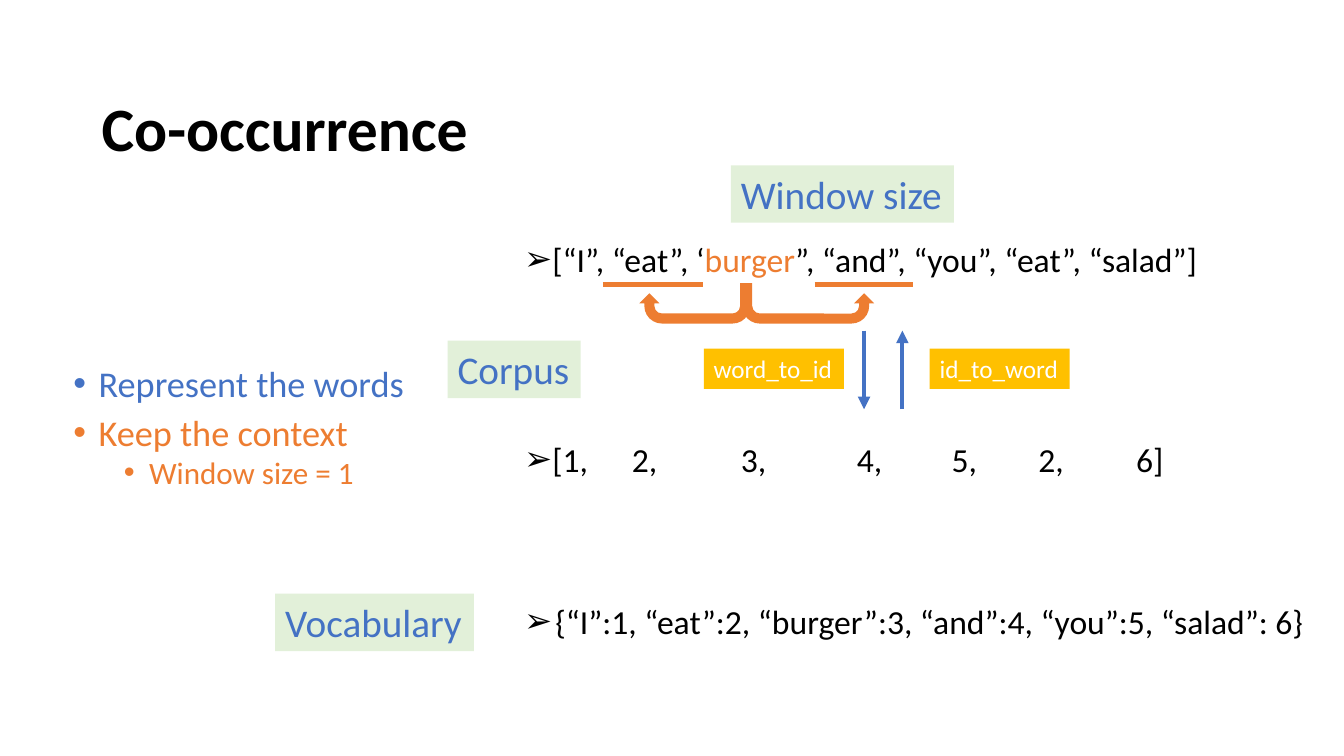
from dataclasses import dataclass
from typing import Any, Optional

import pptx
import pptx.dml.color
import pptx.enum.shapes
import pptx.enum.text
import pptx.oxml
import pptx.oxml.ns
import pptx.util

Inches = pptx.util.Inches
Pt = pptx.util.Pt
RGBColor = pptx.dml.color.RGBColor
MSO_SHAPE = pptx.enum.shapes.MSO_SHAPE
MSO_ANCHOR = pptx.enum.text.MSO_ANCHOR
qn = pptx.oxml.ns.qn

BLACK = RGBColor(0x00, 0x00, 0x00)
WHITE = RGBColor(0xFF, 0xFF, 0xFF)
BLUE = RGBColor(0x44, 0x72, 0xC4)
ORANGE = RGBColor(0xED, 0x7D, 0x31)
GOLD = RGBColor(0xFF, 0xC0, 0x00)
MINT = RGBColor(0xE2, 0xF0, 0xD9)
FONT = "Calibri"


@dataclass
class Label:
    text: str
    box: tuple[float, float, float, float]
    fill: RGBColor
    color: RGBColor
    size: float


@dataclass
class Line:
    start: tuple[float, float]
    end: tuple[float, float]
    color: RGBColor
    width: float
    arrow: bool = False


@dataclass
class Para:
    runs: list[tuple[str, RGBColor]]
    size: float
    bullet: str = ""
    margin: float = 0
    hanging: float = 0
    before: float = 0
    spacing: Optional[float] = None
    bold: bool = False
    tabs: tuple[float, ...] = ()


LABELS = [
    Label("word_to_id", (6.98, 3.46, 1.39, 0.4), GOLD, WHITE, 18),
    Label("id_to_word", (9.22, 3.46, 1.39, 0.4), GOLD, WHITE, 18),
    Label("Corpus", (4.44, 3.38, 1.32, 0.57), MINT, BLUE, 28),
    Label("Vocabulary", (2.73, 5.89, 1.97, 0.57), MINT, BLUE, 28),
    Label("Window size", (7.25, 1.64, 2.21, 0.57), MINT, BLUE, 28),
]
LINES = [
    Line((8.57, 3.28), (8.57, 4.06), BLUE, 3, True),
    Line((8.95, 4.06), (8.95, 3.28), BLUE, 3, True),
    Line((8.08, 2.82), (9.06, 2.82), ORANGE, 3.5),
    Line((5.98, 2.82), (6.97, 2.82), ORANGE, 3.5),
]
TITLE = [Para([("Co-occurrence", BLACK)], 44, spacing=0.9, bold=True)]
GOALS = [
    Para([("Represent the words", BLUE)], 25.9, "•", 0.25, 0.25, 0, 0.8),
    Para([("Keep the context", ORANGE)], 25.9, "•", 0.25, 0.25, 10, 0.8),
    Para([("Window size = 1", ORANGE)], 22.2, "•", 0.75, 0.25, 5, 0.8),
]
EXAMPLE = [
    Para([("[“I”, “eat”, ‘", BLACK), ("burger", ORANGE),
          ("”, “and”, “you”, “eat”, “salad”]", BLACK)], 24, "➢"),
    Para([("[1,\t2,\t3,\t4,\t5,\t2,\t6]", BLACK)], 24, "➢", before=114,
         tabs=(1.07, 2.15, 3.3, 4.24, 5.1, 6.07)),
    Para([("{“I”:1, “eat”:2, “burger”:3, “and”:4, “you”:5, “salad”: 6}", BLACK)],
         24, "➢", 0.31, 0.31, before=87),
]


def apply(obj: Any, values: dict[str, Any]) -> None:
    for name, value in values.items():
        setattr(obj, name, value)


def add_child(parent: Any, tag: str, **attrs: str) -> Any:
    child = pptx.oxml.parse_xml(
        f'<{tag} xmlns:a="http://schemas.openxmlformats.org/drawingml/2006/main"/>')
    for name, value in attrs.items():
        child.set(name, value)
    parent.append(child)
    return child


def fill_para(p: Any, para: Para) -> None:
    pPr = p._p.get_or_add_pPr()
    pPr.set("marL", str(Inches(para.margin)))
    pPr.set("indent", str(-Inches(para.hanging)))
    if para.bullet:
        add_child(pPr, "a:buFont", typeface="Arial")
        add_child(pPr, "a:buChar", char=para.bullet)
    if para.tabs:
        tab_list = add_child(pPr, "a:tabLst")
        for pos in para.tabs:
            add_child(tab_list, "a:tab", pos=str(Inches(pos)), algn="l")
    apply(p, {"space_before": Pt(para.before), "line_spacing": para.spacing,
              "alignment": pptx.enum.text.PP_ALIGN.LEFT})
    for text, color in para.runs:
        r = p.add_run()
        r.text = text
        apply(r.font, {"name": FONT, "size": Pt(para.size), "bold": para.bold})
        r.font.color.rgb = color


def add_text(s: Any, box: tuple[float, ...], paras: list[Para],
             anchor: Any = MSO_ANCHOR.TOP) -> None:
    tf = s.shapes.add_textbox(*map(Inches, box)).text_frame
    apply(tf, {"word_wrap": True, "vertical_anchor": anchor})
    for i, para in enumerate(paras):
        fill_para(tf.add_paragraph() if i else tf.paragraphs[0], para)


def add_shape(s: Any, kind: Any, box: tuple[float, ...], fill: RGBColor) -> Any:
    sp = s.shapes.add_shape(kind, *map(Inches, box))
    sp.shadow.inherit = False
    sp.fill.solid()
    sp.fill.fore_color.rgb = fill
    sp.line.fill.background()
    return sp


def add_label(s: Any, label: Label) -> None:
    tf = add_shape(s, MSO_SHAPE.RECTANGLE, label.box, label.fill).text_frame
    apply(tf, {"word_wrap": False, "vertical_anchor": MSO_ANCHOR.TOP})
    fill_para(tf.paragraphs[0], Para([(label.text, label.color)], label.size))


def add_line(s: Any, line: Line) -> None:
    cn = s.shapes.add_connector(pptx.enum.shapes.MSO_CONNECTOR.STRAIGHT,
                                *map(Inches, line.start + line.end))
    cn.line.color.rgb = line.color
    cn.line.width = Pt(line.width)
    if line.arrow:
        add_child(cn.line._get_or_add_ln(), "a:tailEnd", type="triangle")
    add_child(cn._element.spPr, "a:effectLst")


def add_context_arrow(s: Any, box: tuple[float, ...], flip: bool) -> None:
    sp = add_shape(s, MSO_SHAPE.U_TURN_ARROW, box, ORANGE)
    sp.rotation = 180
    if flip:
        sp._element.spPr.find(qn("a:xfrm")).set("flipH", "1")


def main() -> None:
    prs = pptx.Presentation()
    apply(prs, {"slide_width": Inches(13.33), "slide_height": Inches(7.5)})
    s = prs.slides.add_slide(prs.slide_layouts[6])

    # Title, goals and worked example
    add_text(s, (0.91, 0.69, 11.5, 1.24), TITLE, MSO_ANCHOR.MIDDLE)
    add_text(s, (0.63, 3.62, 4.19, 1.34), GOALS)
    add_text(s, (5.1, 2.32, 8.23, 4.14), EXAMPLE)

    # Arrows from the centre word to its neighbours
    add_context_arrow(s, (6.34, 2.81, 1.1, 0.4), False)
    add_context_arrow(s, (7.36, 2.81, 1.31, 0.4), True)

    # Mapping arrows, underlines and labels
    for line in LINES:
        add_line(s, line)
    for label in LABELS:
        add_label(s, label)

    prs.save("out.pptx")


if __name__ == "__main__":
    main()
